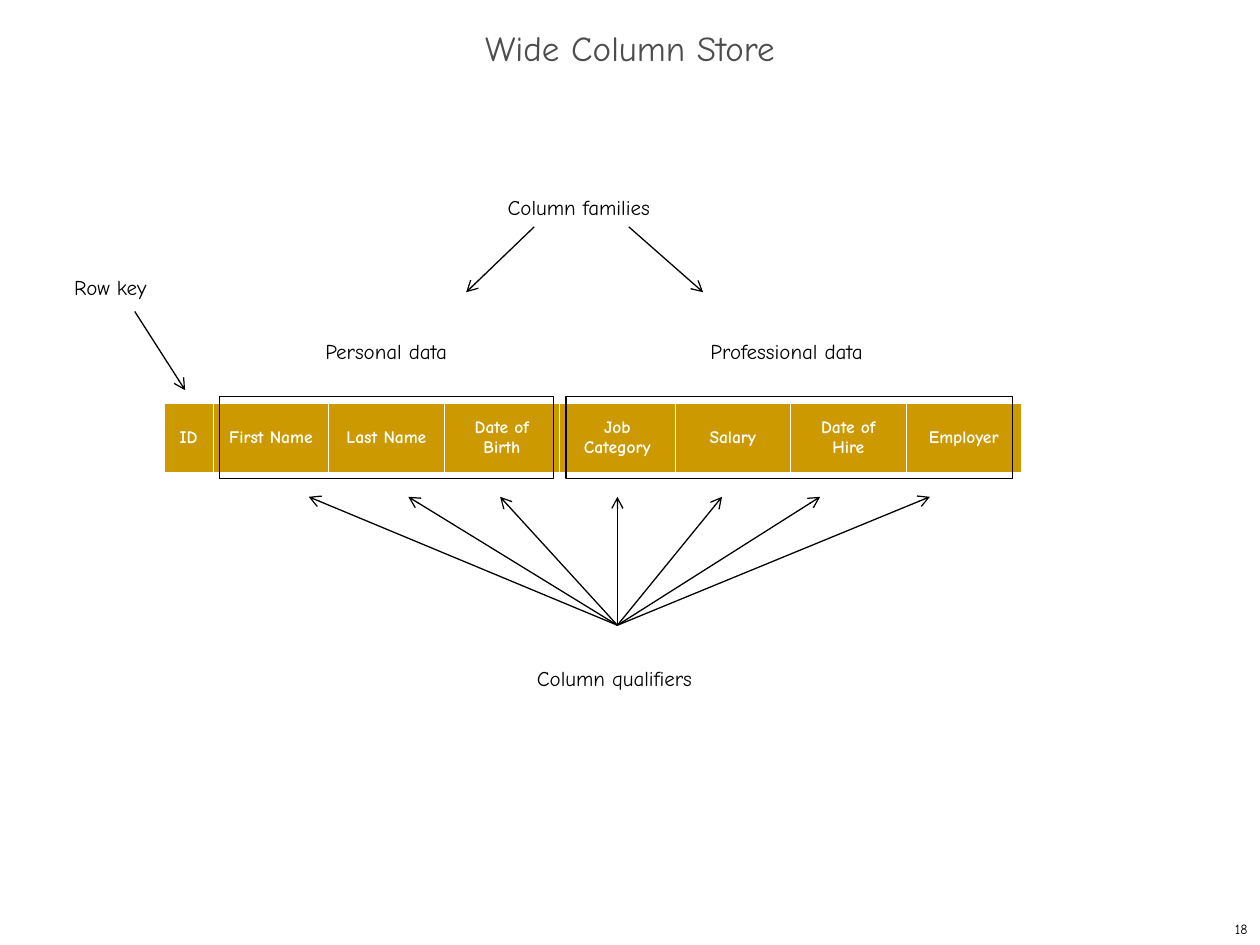
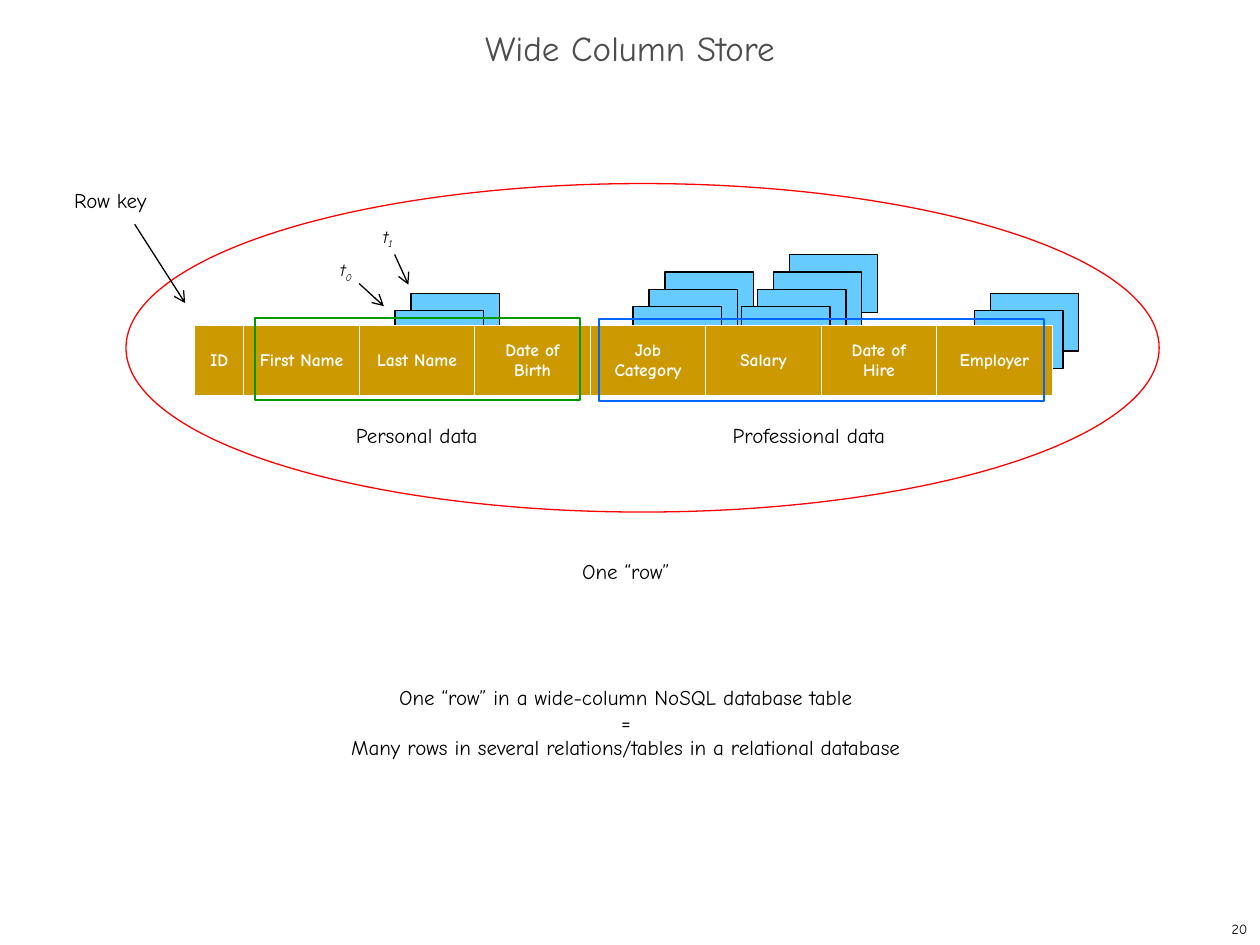
"""Build two slides that explain the wide column store."""
from lxml.etree import SubElement
from pptx import Presentation
from pptx.dml.color import RGBColor
from pptx.enum.shapes import MSO_CONNECTOR, MSO_SHAPE
from pptx.enum.text import MSO_ANCHOR, MSO_AUTO_SIZE, PP_ALIGN
from pptx.oxml.ns import qn
from pptx.util import Pt

COLORS = {"black": "000000", "white": "FFFFFF", "title": "4D4D4D", "gold": "CC9900",
          "sky": "66CCFF", "red": "FF0000", "green": "009900", "blue": "0066FF"}
TITLE = {"size": Pt(20), "bold": False}
LABEL = {"size": Pt(12)}
TIME = {"size": Pt(10), "italic": True}
HEAD = {"size": Pt(10), "bold": True}
PAGE = {"size": Pt(8)}
COLUMNS = ["ID", "First Name", "Last Name", "Date of Birth",
           "Job Category", "Salary", "Date of Hire", "Employer"]
BORDERS = {"a:lnL": 0.45, "a:lnR": 0.45, "a:lnT": 0.45, "a:lnB": 1.47}
CARD_W, CARD_H, STEP_X, STEP_Y = 50.5, 33, 9.1, 9.85
QUALIFIER_TIPS = [176.4, 233.3, 285.8, 352.8, 412.6, 468.7, 531.4]
RECT, OVAL = MSO_SHAPE.RECTANGLE, MSO_SHAPE.OVAL

SLIDES = [
    {"page": "18", "table": (93.8, 230.2), "stacks": [], "times": [],
     "outlines": [(RECT, (125.3, 226.6, 191, 46.8), "black", 0.75),
                  (RECT, (323.4, 226.6, 255.2, 46.8), "black", 0.75)],
     "labels": [("Personal data", (178.8, 190, 85, 21.6)),
                ("Professional data", (398.9, 190, 102.2, 21.6)),
                ("Row key", (35.3, 153.4, 56.2, 21.6)),
                ("Column families", (283, 107.4, 95.8, 21.6)),
                ("Column qualifiers", (299.7, 376.6, 103, 21.6))],
     "arrows": [(77, 178, 105.8, 223), (305.3, 129.6, 266.4, 167),
                (359.3, 129.6, 401.8, 167)]
               + [(352.8, 357.3, x, 283.9) for x in QUALIFIER_TIPS],
     "lines": []},
    {"page": "20", "table": (111.3, 186.1),
     "stacks": [(225.8, 177.5, 2), (556.9, 177.5, 2), (361.8, 175.1, 3), (423.8, 175.1, 4)],
     "times": [("1", (211.7, 125.6, 24, 20.9)), ("0", (187.2, 144.7, 24, 20.9))],
     "outlines": [(OVAL, (72, 104.9, 590.4, 187.7), "red", 0.75),
                  (RECT, (145.6, 181.9, 185.8, 46.8), "green", 1.25),
                  (RECT, (342.2, 182.2, 254.4, 46.8), "blue", 1.25)],
     "labels": [("Personal data", (196.3, 238, 85, 21.6)),
                ("Professional data", (411.6, 238, 102.2, 21.6)),
                ("Row key", (35.3, 103.7, 56.2, 21.6))],
     "arrows": [(77, 128.2, 105.8, 173.2), (225.5, 145.4, 233.4, 162.7),
                (205.2, 162, 219.4, 175)],
     "lines": ["One “row”", "One “row” in a wide-column NoSQL database table", "=",
               "Many rows in several relations/tables in a relational database"]},
]


def add_run(p, text, fmt, color="black"):
    r = p.add_run()
    r.text = text
    r.font.name = "Comic Neue"
    r.font.color.rgb = RGBColor.from_string(COLORS[color])
    for name, value in fmt.items():
        setattr(r.font, name, value)
    return r


def add_text(s, box, lines, fmt, align=PP_ALIGN.LEFT):
    tf = s.shapes.add_textbox(*map(Pt, box)).text_frame
    tf.word_wrap = False
    tf.auto_size = MSO_AUTO_SIZE.SHAPE_TO_FIT_TEXT
    for i, line in enumerate(lines):
        p = tf.add_paragraph() if i else tf.paragraphs[0]
        p.alignment = align
        add_run(p, line, fmt)
    return tf


prs = Presentation()
prs.slide_width, prs.slide_height = Pt(720), Pt(540)

for data in SLIDES:
    s = prs.slides.add_slide(prs.slide_layouts[5])
    title = s.shapes.title
    title.left, title.top, title.width, title.height = map(Pt, (0, 12.2, 720, 36))
    title.text_frame.vertical_anchor = MSO_ANCHOR.MIDDLE
    p = title.text_frame.paragraphs[0]
    p.alignment, p.line_spacing = PP_ALIGN.CENTER, 0.7
    add_run(p, "Wide Column Store", TITLE, "title")

    tf = add_text(s, (570.2, 522, 149.8, 18), [data["page"]], PAGE, PP_ALIGN.RIGHT)
    tf.word_wrap, tf.auto_size = True, MSO_AUTO_SIZE.NONE
    tf.vertical_anchor = MSO_ANCHOR.MIDDLE

    for x, y, count in data["stacks"]:
        for i in reversed(range(count)):
            box = (x + i * STEP_X, y - i * STEP_Y, CARD_W, CARD_H)
            sp = s.shapes.add_shape(RECT, *map(Pt, box))
            sp.shadow.inherit = False
            sp.fill.solid()
            sp.fill.fore_color.rgb = RGBColor.from_string(COLORS["sky"])
            sp.line.color.rgb = RGBColor.from_string(COLORS["black"])
            sp.line.width = Pt(0.75)

    x, y = data["table"]
    table = s.shapes.add_table(1, len(COLUMNS), Pt(x), Pt(y), Pt(490), Pt(40)).table
    table.first_row = table.horz_banding = False
    for i, heading in enumerate(COLUMNS):
        table.columns[i].width = Pt(66 if i else 28)
        cell = table.cell(0, i)
        for tag, width in BORDERS.items():
            ln = SubElement(cell._tc.get_or_add_tcPr(), qn(tag), w=str(Pt(width)))
            fill = SubElement(ln, qn("a:solidFill"))
            SubElement(fill, qn("a:srgbClr"), val=COLORS["white"])
        cell.fill.solid()
        cell.fill.fore_color.rgb = RGBColor.from_string(COLORS["gold"])
        cell.vertical_anchor = MSO_ANCHOR.MIDDLE
        p = cell.text_frame.paragraphs[0]
        p.alignment = PP_ALIGN.CENTER
        add_run(p, heading, HEAD, "white")

    for kind, box, color, width in data["outlines"]:
        sp = s.shapes.add_shape(kind, *map(Pt, box))
        sp.shadow.inherit = False
        sp.fill.background()
        sp.line.color.rgb = RGBColor.from_string(COLORS[color])
        sp.line.width = Pt(width)

    for text, box in data["labels"]:
        add_text(s, box, [text], LABEL)

    for index, box in data["times"]:
        tf = add_text(s, box, ["t"], TIME)
        r = add_run(tf.paragraphs[0], index, TIME)
        r._r.get_or_add_rPr().set("baseline", "-25000")

    if data["lines"]:
        tf = add_text(s, (192.4, 315.7, 330.5, 122.4), data["lines"], LABEL, PP_ALIGN.CENTER)
        tf.paragraphs[1].space_before = Pt(57.5)

    for ends in data["arrows"]:
        arrow = s.shapes.add_connector(MSO_CONNECTOR.STRAIGHT, *map(Pt, ends))
        arrow.line.color.rgb = RGBColor.from_string(COLORS["black"])
        arrow.line.width = Pt(0.75)
        SubElement(arrow.line._get_or_add_ln(), qn("a:tailEnd"), type="arrow")
        SubElement(arrow._element.spPr, qn("a:effectLst"))

prs.save("out.pptx")
